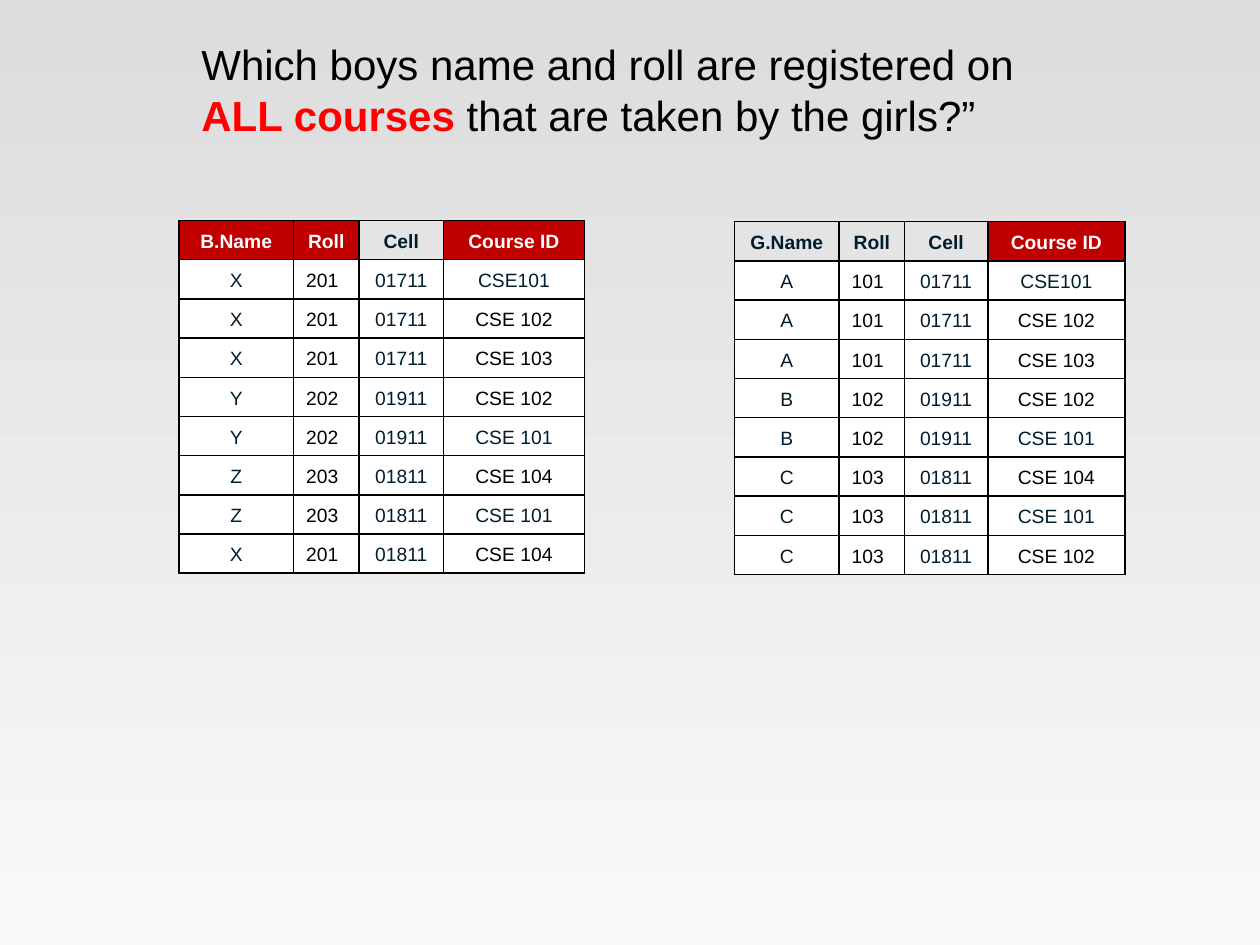
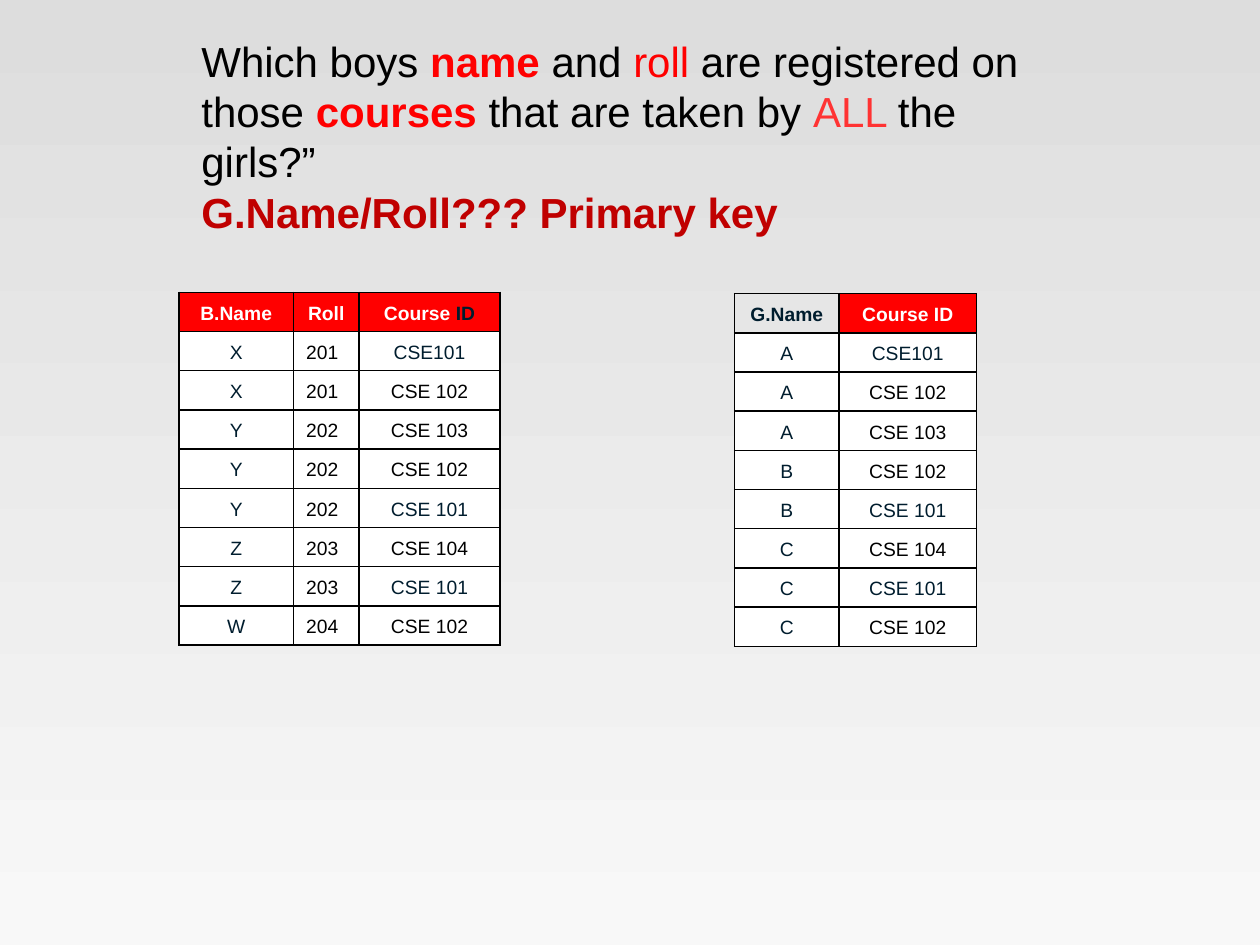
from lxml import etree
from pptx import Presentation
from pptx.dml.color import RGBColor
from pptx.enum.text import MSO_ANCHOR, MSO_AUTO_SIZE, PP_ALIGN
from pptx.oxml.ns import qn
from pptx.util import Inches, Pt

LEFT, CENTER = PP_ALIGN.LEFT, PP_ALIGN.CENTER
MIDDLE, TOP = MSO_ANCHOR.MIDDLE, MSO_ANCHOR.TOP
GROW = MSO_AUTO_SIZE.SHAPE_TO_FIT_TEXT

COLORS = {
    "sky_top": "DDDDDD",
    "sky_bottom": "F8F8F8",
    "black": "000000",
    "white": "FFFFFF",
    "navy": "001D2E",
    "red": "FF0000",
    "soft_red": "FF3333",
    "dark_red": "C00000",
}
GRID_COLUMNS, GRID_ROWS = 100, 75
BOYS_LEFT, GIRLS_LEFT = 14.2, 58.3
BOYS_WIDTHS = {"B.Name": 9.1, "Roll": 5.2, "Cell": 6.7, "Course ID": 11.2}
GIRLS_WIDTHS = {"G.Name": 8.3, "Roll": 5.2, "Cell": 6.6, "Course ID": 10.9}

BOYS = [
    ("X", "201", "01711", "CSE101"),
    ("X", "201", "01711", "CSE 102"),
    ("X", "201", "01711", "CSE 103"),
    ("Y", "202", "01911", "CSE 102"),
    ("Y", "202", "01911", "CSE 101"),
    ("Z", "203", "01811", "CSE 104"),
    ("Z", "203", "01811", "CSE 101"),
    ("X", "201", "01811", "CSE 104"),
]
BOYS_WITHOUT_CELL = [
    ("X", "201", "CSE101"),
    ("X", "201", "CSE 102"),
    ("Y", "202", "CSE 103"),
    ("Y", "202", "CSE 102"),
    ("Y", "202", "CSE 101"),
    ("Z", "203", "CSE 104"),
    ("Z", "203", "CSE 101"),
    ("W", "204", "CSE 102"),
]
GIRLS = [
    ("A", "101", "01711", "CSE101"),
    ("A", "101", "01711", "CSE 102"),
    ("A", "101", "01711", "CSE 103"),
    ("B", "102", "01911", "CSE 102"),
    ("B", "102", "01911", "CSE 101"),
    ("C", "103", "01811", "CSE 104"),
    ("C", "103", "01811", "CSE 101"),
    ("C", "103", "01811", "CSE 102"),
]


def rgb(name):
    return RGBColor.from_string(COLORS[name])


class Deck:
    font_name = "Arial"
    title_size = 24
    table_size = 11
    row_height = 28 / 9

    def __init__(self):
        self.presentation = Presentation()
        self.presentation.slide_width = Inches(10)
        self.presentation.slide_height = Inches(7.5)
        self.slide = None

    def x(self, columns):
        return round(self.presentation.slide_width * columns / GRID_COLUMNS)

    def y(self, rows):
        return round(self.presentation.slide_height * rows / GRID_ROWS)

    def add_slide(self):
        self.slide = self.presentation.slides.add_slide(self.presentation.slide_layouts[6])
        fill = self.slide.background.fill
        fill.gradient()
        fill.gradient_angle = 270
        for stop, color in zip(fill.gradient_stops, ("sky_top", "sky_bottom")):
            stop.color.rgb = rgb(color)

    def add_runs(self, paragraph, runs, size):
        paragraph.font.name = self.font_name
        paragraph.font.size = Pt(size)
        for text, color, bold in runs:
            run = paragraph.add_run()
            run.text = text
            run.font.color.rgb = rgb(color)
            run.font.bold = bold

    def question(self, top, height, *paragraphs):
        box = self.slide.shapes.add_textbox(self.x(15), self.y(top), self.x(70.8), self.y(height))
        frame = box.text_frame
        frame.word_wrap = True
        frame.auto_size = GROW
        frame.vertical_anchor = TOP
        for index, runs in enumerate(paragraphs):
            paragraph = frame.add_paragraph() if index else frame.paragraphs[0]
            self.add_runs(paragraph, runs, self.title_size)

    def border(self, cell):
        properties = cell._tc.get_or_add_tcPr()
        for side in ("lnL", "lnR", "lnT", "lnB"):
            line = etree.SubElement(properties, qn(f"a:{side}"), w=str(Pt(1)))
            solid = etree.SubElement(line, qn("a:solidFill"))
            etree.SubElement(solid, qn("a:srgbClr"), val=COLORS["black"])

    def cell(self, cell, runs, fill, alignment):
        self.border(cell)
        cell.vertical_anchor = MIDDLE
        if fill:
            cell.fill.solid()
            cell.fill.fore_color.rgb = rgb(fill)
        else:
            cell.fill.background()
        paragraph = cell.text_frame.paragraphs[0]
        paragraph.alignment = alignment
        paragraph.line_spacing = 1.15
        self.add_runs(paragraph, runs, self.table_size)

    def relation(self, left, top, widths, records, keys, key_fill, split_header=None):
        height = self.row_height * (len(records) + 1)
        frame = self.slide.shapes.add_table(
            len(records) + 1, len(widths),
            self.x(left), self.y(top), self.x(sum(widths.values())), self.y(height))
        table = frame.table
        table.first_row = table.horz_banding = False
        for row in table.rows:
            row.height = self.y(self.row_height)
        for index, (heading, width) in enumerate(widths.items()):
            table.columns[index].width = self.x(width)
            is_key = heading in keys
            runs = [(heading, "white" if is_key else "navy", True)]
            if heading == "Course ID" and split_header:
                runs = split_header
            self.cell(table.cell(0, index), runs, key_fill if is_key else None, CENTER)
            for row_index, record in enumerate(records, 1):
                text = record[index]
                is_roll = heading == "Roll"
                other_course = heading == "Course ID" and not text.endswith("101")
                color = "black" if is_roll or other_course else "navy"
                self.cell(table.cell(row_index, index), [(text, color, False)],
                          "white", LEFT if is_roll else CENTER)


def without(widths, *dropped):
    return {heading: width for heading, width in widths.items() if heading not in dropped}


def all_courses_slide(deck):
    deck.add_slide()
    deck.question(2.6, 9.1, [
        ("Which boys name and roll are registered on ", "black", False),
        ("ALL courses ", "red", True),
        ("that are taken by the girls?”", "black", False),
    ])
    deck.relation(GIRLS_LEFT, 17.6, GIRLS_WIDTHS, GIRLS, {"Course ID"}, "dark_red")
    deck.relation(BOYS_LEFT, 17.5, BOYS_WIDTHS, BOYS,
                  {"B.Name", "Roll", "Course ID"}, "dark_red")


def all_girls_slide(deck):
    deck.add_slide()
    deck.question(2.3, 17.2, [
        ("Which boys ", "black", False),
        ("name", "red", True),
        (" and", "black", False),
        (" roll ", "red", False),
        ("are registered on those ", "black", False),
        ("courses", "red", True),
        (" that are taken by ", "black", False),
        ("ALL ", "soft_red", False),
        ("the girls?”", "black", False),
    ], [("G.Name/Roll??? Primary key", "dark_red", True)])
    names_and_courses = [(name, course) for name, _, _, course in GIRLS]
    deck.relation(GIRLS_LEFT, 23.3, without(GIRLS_WIDTHS, "Roll", "Cell"),
                  names_and_courses, {"Course ID"}, "red")
    deck.relation(BOYS_LEFT, 23.2, without(BOYS_WIDTHS, "Cell"), BOYS_WITHOUT_CELL,
                  {"B.Name", "Roll", "Course ID"}, "red",
                  [("Course", "white", True), (" ID", "navy", True)])


def main():
    deck = Deck()
    all_courses_slide(deck)
    all_girls_slide(deck)
    deck.presentation.save("out.pptx")


if __name__ == "__main__":
    main()
